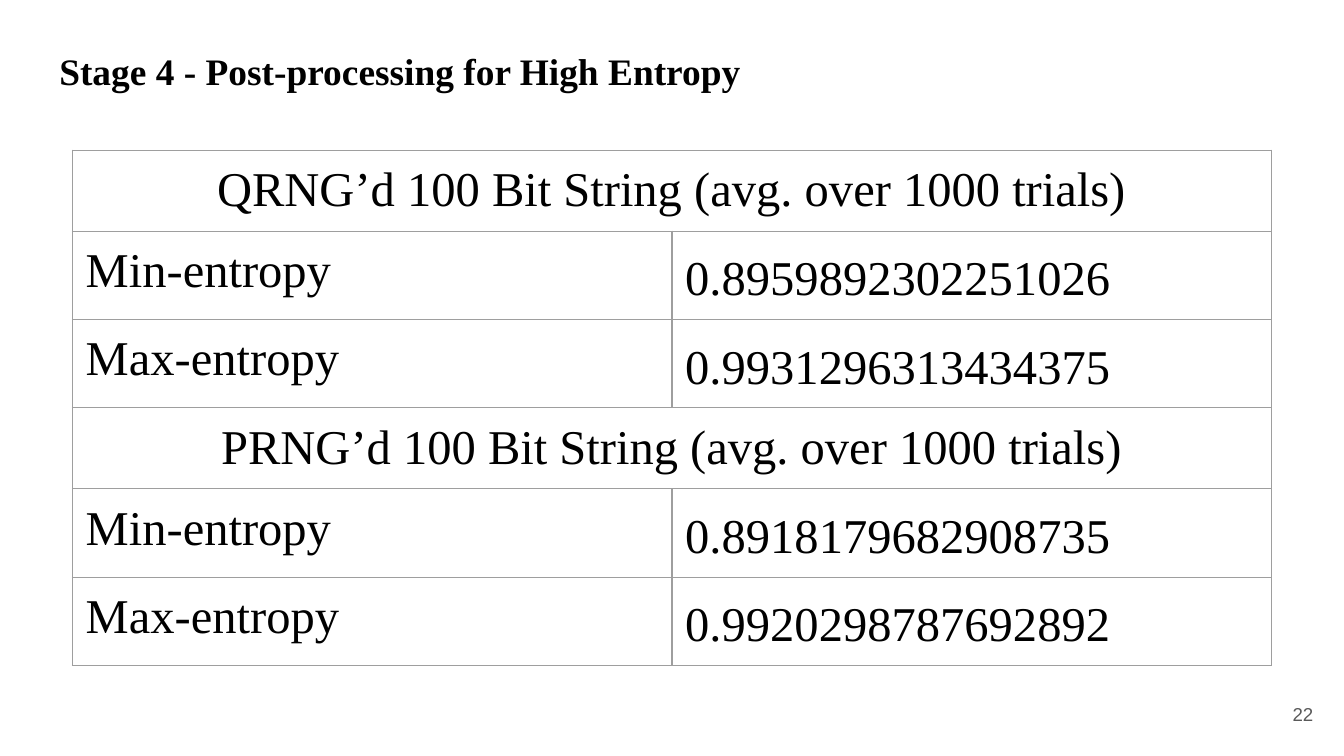
"""Build the slide comparing entropy of quantum and pseudo-random bit strings."""
from dataclasses import dataclass

from lxml.etree import SubElement
from pptx import Presentation
from pptx.dml.color import RGBColor
from pptx.enum.text import MSO_ANCHOR, PP_ALIGN
from pptx.oxml.ns import qn
from pptx.util import Cm, Pt

COLORS = {"text": "000000", "border": "9E9E9E", "number": "595959"}
MARGIN = Cm(0.25)
COLUMN_WIDTHS = (11.33, 1.17, 10.16)
HEADING_HEIGHT, VALUE_HEIGHT = 1.53, 1.67
TITLE_FORMAT = {"name": "Times New Roman", "size": Pt(20), "bold": True}
TABLE_FORMAT = {"name": "Times New Roman", "size": Pt(26), "bold": False}
NUMBER_FORMAT = {"name": "Arial", "size": Pt(10)}


@dataclass
class Generator:
    heading: str
    min_entropy: str
    max_entropy: str


GENERATORS = [
    Generator("QRNG’d 100 Bit String (avg. over 1000 trials)",
              "0.8959892302251026", "0.9931296313434375"),
    Generator("PRNG’d 100 Bit String (avg. over 1000 trials)",
              "0.8918179682908735", "0.9920298787692892"),
]


def write_text(frame, text: str, font_format: dict, color: str = "text",
               alignment=PP_ALIGN.LEFT, line_spacing: float = 1.0) -> None:
    for side in ("left", "right", "top", "bottom"):
        setattr(frame, f"margin_{side}", MARGIN)
    paragraph = frame.paragraphs[0]
    paragraph.alignment = alignment
    paragraph.line_spacing = line_spacing
    run = paragraph.add_run()
    run.text = text
    for name, value in font_format.items():
        setattr(run.font, name, value)
    run.font.color.rgb = RGBColor.from_string(COLORS[color])


def place(shape, left: float, top: float, width: float, height: float) -> None:
    shape.left, shape.top = Cm(left), Cm(top)
    shape.width, shape.height = Cm(width), Cm(height)


def style_cell(cell) -> None:
    properties = cell._tc.get_or_add_tcPr()
    for edge in ("lnL", "lnR", "lnT", "lnB"):
        line = SubElement(properties, qn(f"a:{edge}"), w=str(Pt(0.75)))
        fill = SubElement(line, qn("a:solidFill"))
        SubElement(fill, qn("a:srgbClr"), val=COLORS["border"])
    cell.fill.background()
    cell.vertical_anchor = MSO_ANCHOR.TOP
    for side in ("left", "right", "top", "bottom"):
        setattr(cell, f"margin_{side}", MARGIN)


def add_entropy_table(slide, generators: list[Generator]) -> None:
    heights = (HEADING_HEIGHT, VALUE_HEIGHT, VALUE_HEIGHT) * len(generators)
    table = slide.shapes.add_table(
        len(heights), len(COLUMN_WIDTHS), Cm(1.37), Cm(2.84),
        Cm(sum(COLUMN_WIDTHS)), Cm(sum(heights))).table
    table.first_row = table.horz_banding = False
    for column, width in zip(table.columns, COLUMN_WIDTHS):
        column.width = Cm(width)
    for row, height in zip(table.rows, heights):
        row.height = Cm(height)
    for cell in table.iter_cells():
        style_cell(cell)
    for index, generator in enumerate(generators):
        top = 3 * index
        heading = table.cell(top, 0)
        heading.merge(table.cell(top, 2))
        write_text(heading.text_frame, generator.heading, TABLE_FORMAT,
                   alignment=PP_ALIGN.CENTER)
        measures = (("Min-entropy", generator.min_entropy),
                    ("Max-entropy", generator.max_entropy))
        for row, (label, value) in enumerate(measures, top + 1):
            write_text(table.cell(row, 0).text_frame, label, TABLE_FORMAT)
            table.cell(row, 1).merge(table.cell(row, 2))
            write_text(table.cell(row, 1).text_frame, value, TABLE_FORMAT,
                       line_spacing=1.15)


def main() -> None:
    presentation = Presentation()
    presentation.slide_width, presentation.slide_height = Cm(25.4), Cm(14.29)
    slide = presentation.slides.add_slide(presentation.slide_layouts[5])

    title = slide.shapes.title
    place(title, 0.87, 0.58, 23.67, 1.52)
    title.text_frame.vertical_anchor = MSO_ANCHOR.MIDDLE
    write_text(title.text_frame, "Stage 4 - Post-processing for High Entropy", TITLE_FORMAT)

    add_entropy_table(slide, GENERATORS)

    number = slide.shapes.add_textbox(Cm(23.55), Cm(12.95), Cm(1.52), Cm(1.09))
    number.text_frame.word_wrap = True
    number.text_frame.vertical_anchor = MSO_ANCHOR.MIDDLE
    write_text(number.text_frame, "22", NUMBER_FORMAT, "number", PP_ALIGN.RIGHT)

    presentation.save("out.pptx")


if __name__ == "__main__":
    main()
